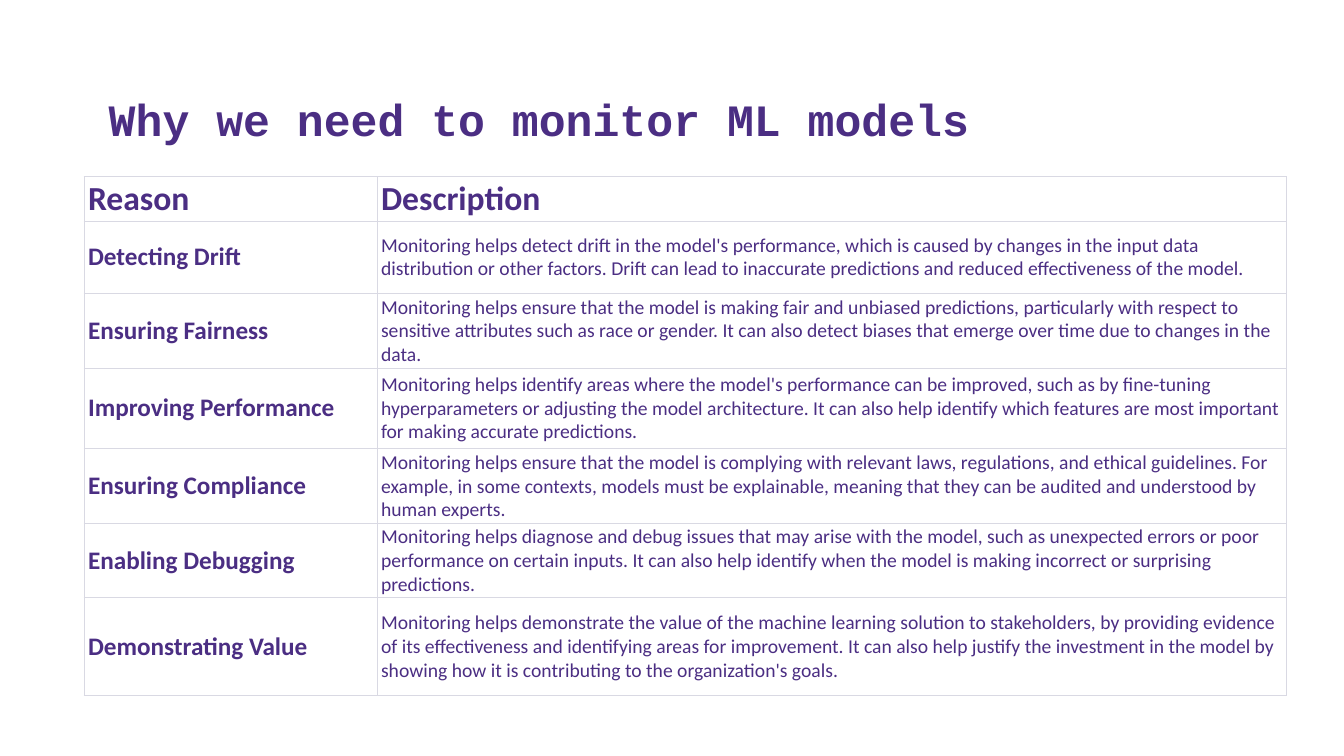
from lxml import etree
from pptx import Presentation
from pptx.dml.color import RGBColor
from pptx.enum.text import MSO_ANCHOR
from pptx.oxml.ns import qn
from pptx.util import Pt

BOTTOM, MIDDLE = MSO_ANCHOR.BOTTOM, MSO_ANCHOR.MIDDLE
PURPLE, RULE = "4B2E83", "D9D9E3"
THIN, THICK = 0.6, 1

TITLE = "Why we need to monitor ML models"
HEADER = ("Reason", "Description")
REASONS = [
    ("Detecting Drift",
     "Monitoring helps detect drift in the model's performance, which is caused by "
     "changes in the input data distribution or other factors. Drift can lead to "
     "inaccurate predictions and reduced effectiveness of the model."),
    ("Ensuring Fairness",
     "Monitoring helps ensure that the model is making fair and unbiased predictions, "
     "particularly with respect to sensitive attributes such as race or gender. It can "
     "also detect biases that emerge over time due to changes in the data."),
    ("Improving Performance",
     "Monitoring helps identify areas where the model's performance can be improved, "
     "such as by fine-tuning hyperparameters or adjusting the model architecture. It can "
     "also help identify which features are most important for making accurate predictions."),
    ("Ensuring Compliance",
     "Monitoring helps ensure that the model is complying with relevant laws, regulations, "
     "and ethical guidelines. For example, in some contexts, models must be explainable, "
     "meaning that they can be audited and understood by human experts."),
    ("Enabling Debugging",
     "Monitoring helps diagnose and debug issues that may arise with the model, such as "
     "unexpected errors or poor performance on certain inputs. It can also help identify "
     "when the model is making incorrect or surprising predictions."),
    ("Demonstrating Value",
     "Monitoring helps demonstrate the value of the machine learning solution to "
     "stakeholders, by providing evidence of its effectiveness and identifying areas for "
     "improvement. It can also help justify the investment in the model by showing how it "
     "is contributing to the organization's goals."),
]
ROW_HEIGHTS = (32, 51.6, 51.6, 57.6, 51.6, 51.6, 70)
REASON_WIDTH = 209.3


def rgb(hex_color):
    return RGBColor.from_string(hex_color)


def style_text(tf, size, font, bold):
    for p in tf.paragraphs:
        for r in p.runs:
            r.font.size = Pt(size)
            r.font.name = font
            r.font.bold = bold
            r.font.color.rgb = rgb(PURPLE)


def set_borders(cell, **widths):
    """Draw the cell's edges; keys are L, R, T and B, values are points."""
    tcPr = cell._tc.get_or_add_tcPr()
    for side, width in widths.items():
        ln = etree.SubElement(tcPr, qn(f"a:ln{side}"), w=str(int(Pt(width))))
        fill = etree.SubElement(ln, qn("a:solidFill"))
        etree.SubElement(fill, qn("a:srgbClr"), val=RULE)


def add_title(s, left, top, width, height):
    tf = s.shapes.add_textbox(Pt(left), Pt(top), Pt(width), Pt(height)).text_frame
    tf.word_wrap = True
    tf.vertical_anchor = BOTTOM
    tf.text = TITLE
    style_text(tf, 32, "Courier New", True)


def add_reasons_table(s, left, top, width):
    rows = [HEADER] + REASONS
    table = s.shapes.add_table(len(rows), len(HEADER), Pt(left), Pt(top),
                               Pt(width), Pt(sum(ROW_HEIGHTS))).table
    table.first_row = table.horz_banding = False
    table.columns[0].width = Pt(REASON_WIDTH)
    table.columns[1].width = Pt(width - REASON_WIDTH)

    last = len(rows) - 1
    for i, row in enumerate(rows):
        table.rows[i].height = Pt(ROW_HEIGHTS[i])
        for j, text in enumerate(row):
            cell = table.cell(i, j)
            cell.text = text
            cell.vertical_anchor = MIDDLE if i else BOTTOM
            cell.margin_left = cell.margin_right = Pt(2.9)
            cell.margin_top = cell.margin_bottom = Pt(1.44)
            # The rule above the last row is heavier
            set_borders(cell, L=THIN, R=THIN,
                        T=THICK if i == last else THIN,
                        B=THICK if i == last - 1 else THIN)
            cell.fill.background()
            size = 24 if i == 0 else (18, 14)[j]
            style_text(cell.text_frame, size, "Calibri", i == 0 or j == 0)


def main():
    prs = Presentation()
    prs.slide_width, prs.slide_height = Pt(960), Pt(540)
    s = prs.slides.add_slide(prs.slide_layouts[6])
    add_title(s, 70.6, 29.5, 859, 77.8)
    add_reasons_table(s, 60, 126, 859)
    prs.save("out.pptx")


if __name__ == "__main__":
    main()
